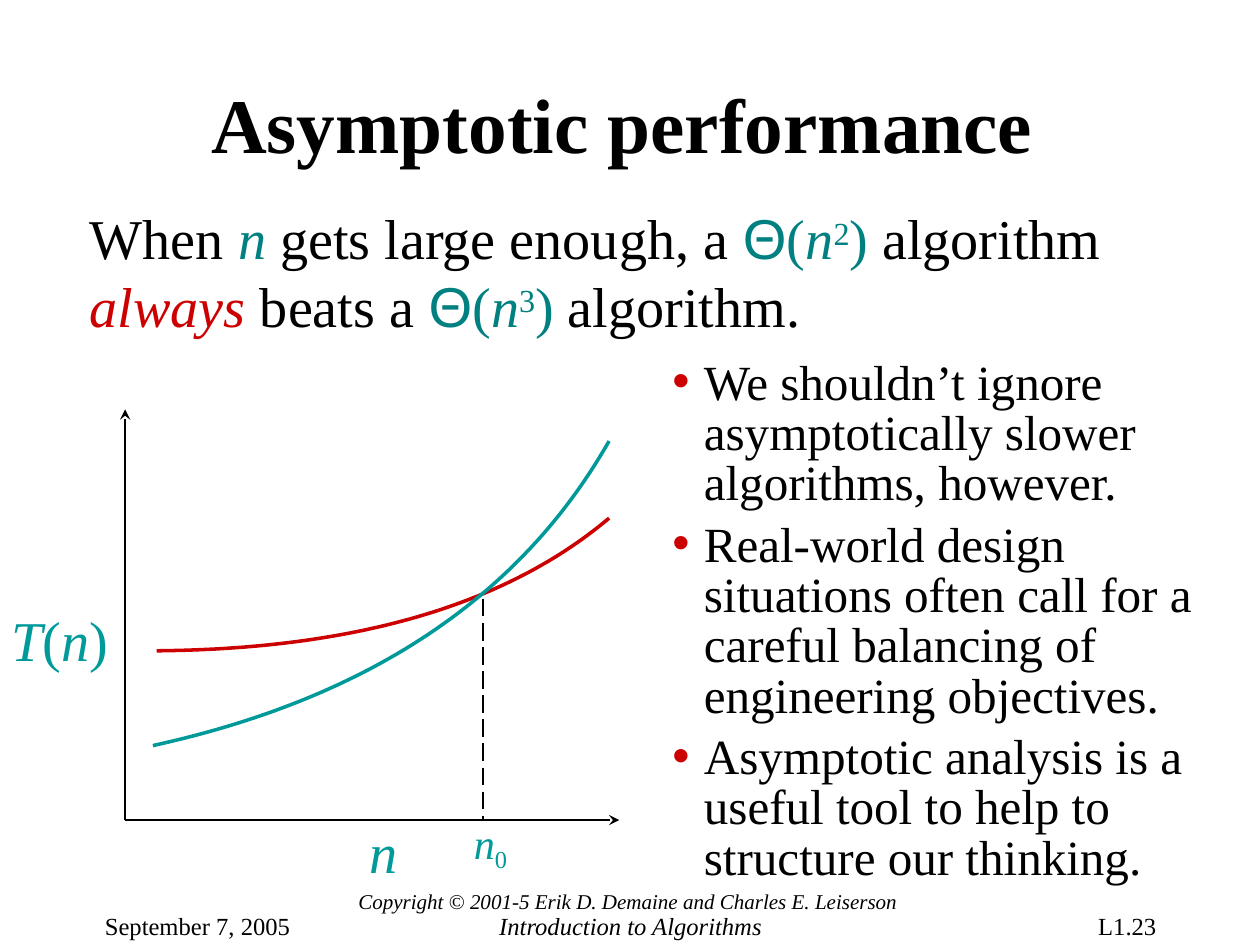
from lxml.etree import SubElement
from pptx import Presentation
from pptx.dml.color import RGBColor
from pptx.enum.dml import MSO_LINE
from pptx.enum.shapes import MSO_CONNECTOR
from pptx.enum.text import MSO_ANCHOR as Anchor, MSO_AUTO_SIZE as AutoSize, PP_ALIGN as Align
from pptx.oxml.ns import qn
from pptx.util import Inches, Pt

BLACK = RGBColor(0x00, 0x00, 0x00)
RED = RGBColor(0xCC, 0x00, 0x00)
TEAL = RGBColor(0x00, 0x80, 0x80)
CURVE_TEAL = RGBColor(0x00, 0x99, 0x99)
LABEL_TEAL = RGBColor(0x00, 0x9A, 0x9A)
SERIF, SANS = "Times New Roman", "Arial"


def add_span(para, text, size, color=BLACK, italic=False, bold=False, font=SERIF, baseline=0):
    span = para.add_run()
    span.text = text
    span.font.name, span.font.size = font, Pt(size)
    span.font.italic, span.font.bold = italic, bold
    span.font.color.rgb = color
    if baseline:
        span.font._element.set("baseline", str(baseline * 1000))


def prepare_frame(shape, wrap=True):
    frame = shape.text_frame
    frame.margin_left = frame.margin_right = frame.margin_top = frame.margin_bottom = 0
    frame.word_wrap = wrap
    frame.auto_size = AutoSize.NONE
    frame.vertical_anchor = Anchor.TOP
    return frame


def place(shape, box):
    shape.left, shape.top, shape.width, shape.height = (Inches(length) for length in box)
    return prepare_frame(shape)


def add_label(page, box, spans, size, align=Align.LEFT, color=BLACK):
    """Place one line of text; each span is text, italic, baseline."""
    label = page.shapes.add_textbox(*(Inches(length) for length in box))
    para = prepare_frame(label, wrap=False).paragraphs[0]
    para.alignment = align
    for text, italic, baseline in spans:
        add_span(para, text, size, color, italic, baseline=baseline)


def fill_title(title, box):
    para = place(title, box).paragraphs[0]
    para.alignment = Align.LEFT
    add_span(para, "Asymptotic performance", 44, bold=True)


def set_indent(para, left, first, bullet_color=None):
    props = para._p.get_or_add_pPr()
    props.set("marL", str(Inches(left)))
    props.set("indent", str(Inches(first)))
    if bullet_color is None:
        SubElement(props, qn("a:buNone"))
        return
    color = SubElement(props, qn("a:buClr"))
    SubElement(color, qn("a:srgbClr")).set("val", str(bullet_color))
    SubElement(props, qn("a:buChar")).set("char", "•")


def fill_statement(body, box):
    frame = place(body, box)
    lines = [
        ([("When ", BLACK, False), ("n ", TEAL, True),
          ("gets large enough, a ", BLACK, False)], "2", "algorithm"),
        ([("always ", RED, True), ("beats a ", BLACK, False)], "3", "algorithm."),
    ]
    for index, (opening, power, ending) in enumerate(lines):
        para = frame.paragraphs[0] if index == 0 else frame.add_paragraph()
        para.space_before = Pt(0)
        set_indent(para, 0.01, 0)
        for text, color, italic in opening:
            add_span(para, text, 32, color, italic)
        add_span(para, "Θ", 32, TEAL, font=SANS)
        add_span(para, "(", 32, TEAL)
        add_span(para, "n", 32, TEAL, italic=True)
        add_span(para, power, 31.5, TEAL, baseline=26)
        add_span(para, ") ", 32, TEAL)
        add_span(para, ending, 32)


def fill_bullets(body, box):
    frame = place(body, box)
    points = [
        "We shouldn’t ignore asymptotically slower algorithms, however.",
        "Real-world design situations often call for a careful balancing of "
        "engineering objectives.",
        "Asymptotic analysis is a useful tool to help to structure our thinking.",
    ]
    for index, point in enumerate(points):
        para = frame.paragraphs[0] if index == 0 else frame.add_paragraph()
        para.line_spacing = Pt(28.6)
        para.space_before = Pt(6.5 if index else 0)
        set_indent(para, 0.26, -0.25, RED)
        add_span(para, point, 28)


def add_line(page, start, end, arrow=False):
    line = page.shapes.add_connector(
        MSO_CONNECTOR.STRAIGHT, *(Inches(length) for length in (*start, *end)))
    line.line.color.rgb, line.line.width = BLACK, Pt(1.25)
    if arrow:
        SubElement(line.line._get_or_add_ln(), qn("a:tailEnd")).set("type", "stealth")
    SubElement(line._element.spPr, qn("a:effectLst"))
    return line


def add_curve(page, start, control, end, color, steps=60):
    """Draw a quadratic curve bent towards its control point."""
    points = []
    for step in range(steps + 1):
        t = step / steps
        points.append(tuple(
            Inches((1 - t) ** 2 * a + 2 * t * (1 - t) * b + t ** 2 * c)
            for a, b, c in zip(start, control, end)))
    builder = page.shapes.build_freeform(*points[0])
    builder.add_line_segments(points[1:], close=False)
    curve = builder.convert_to_shape()
    curve.fill.background()
    curve.line.color.rgb, curve.line.width = color, Pt(2)
    curve.shadow.inherit = False


def draw_graph(page, box):
    left, top, width, height = box
    bottom, right = top + height, left + width

    def at(x, y):
        return left + x, top + y

    # Axes
    add_line(page, (left, bottom), (left, top), arrow=True)
    add_line(page, (left, bottom), (right, bottom), arrow=True)
    # Growth curves
    add_curve(page, at(0.25, 1.91), at(2.61, 1.89), at(3.83, 0.86), RED)
    add_curve(page, at(0.22, 2.66), at(2.78, 2.1), at(3.83, 0.25), CURVE_TEAL)
    # Crossing point
    crossing = add_line(page, at(2.83, 1.5), at(2.83, height))
    crossing.line.dash_style = MSO_LINE.LONG_DASH
    # Axis labels
    add_label(page, (*at(1.93, 3.23), 0.25, 0.55), [("n", True, 0)], 32, color=LABEL_TEAL)
    add_label(page, (*at(2.76, 3.23), 0.31, 0.47),
              [("n", True, 0), ("0", False, -21)], 24, color=LABEL_TEAL)
    add_label(page, (*at(-0.9, 1.55), 0.79, 0.55),
              [("T", True, 0), ("(", False, 0), ("n", True, 0), (")", False, 0)],
              32, color=LABEL_TEAL)


def draw_footer(page, box):
    left, top, width, height = box
    add_label(page, (left + 2, top, 4.3, 0.19),
              [("Copyright © 2001-5 Erik D. Demaine and Charles E. Leiserson", True, 0)],
              12, Align.CENTER)
    row = top + 0.18
    add_label(page, (left + 2.02, row, 4.3, 0.22),
              [("Introduction to Algorithms", True, 0)], 14, Align.CENTER)
    add_label(page, (left + 0.01, row, 1.49, 0.22), [("September 7, 2005", False, 0)], 14)
    add_label(page, (left + width - 0.49, row, 0.49, 0.22),
              [("L1.23", False, 0)], 14, Align.RIGHT)


def main():
    deck = Presentation()
    deck.slide_width, deck.slide_height = Inches(9.97), Inches(7.47)
    page = deck.slides.add_slide(deck.slide_layouts[3])
    title, statement, bullets = page.placeholders

    fill_title(title, (1.67, 0.6, 7.03, 0.74))
    fill_statement(statement, (0.7, 1.61, 8.3, 1.15))
    fill_bullets(bullets, (5.31, 2.85, 4.14, 4.18))
    draw_graph(page, (0.99, 3.24, 3.91, 3.25))
    draw_footer(page, (0.82, 7.03, 8.33, 0.4))
    deck.save("out.pptx")


if __name__ == "__main__":
    main()
